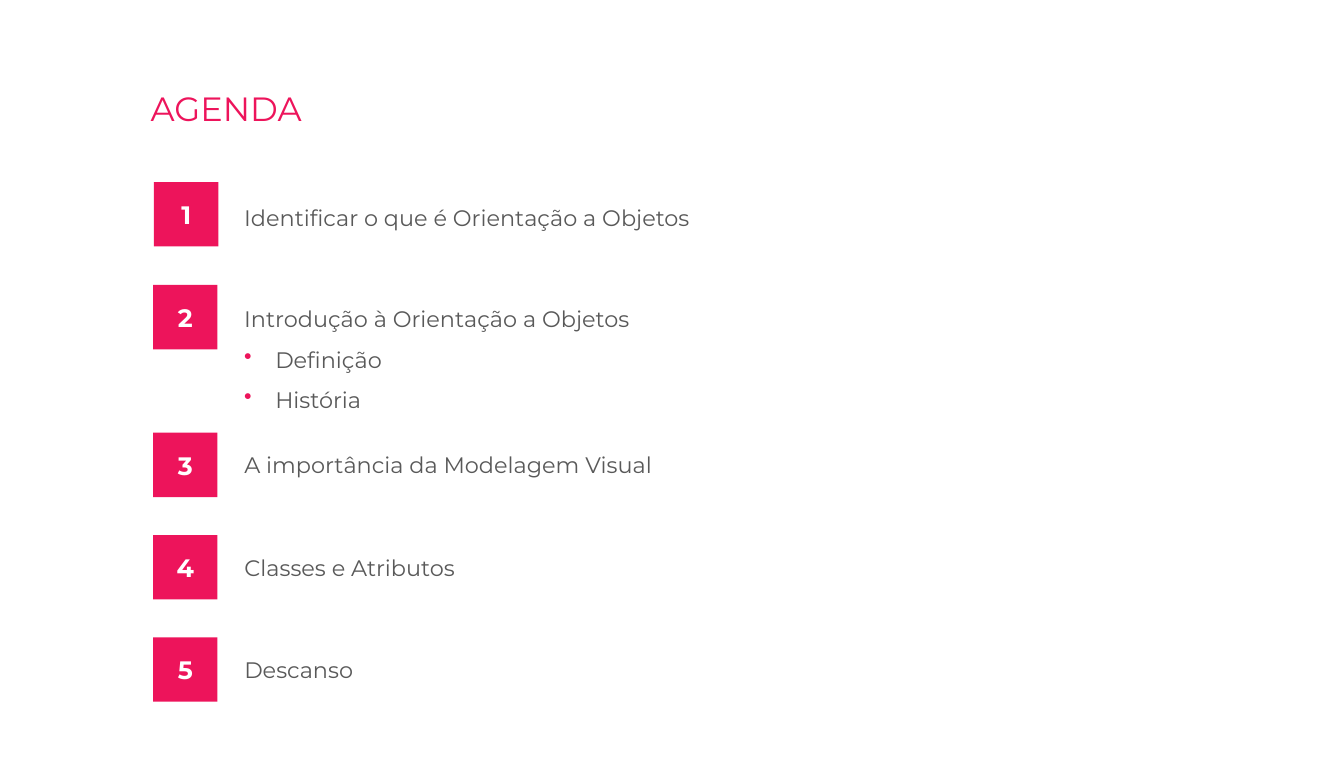
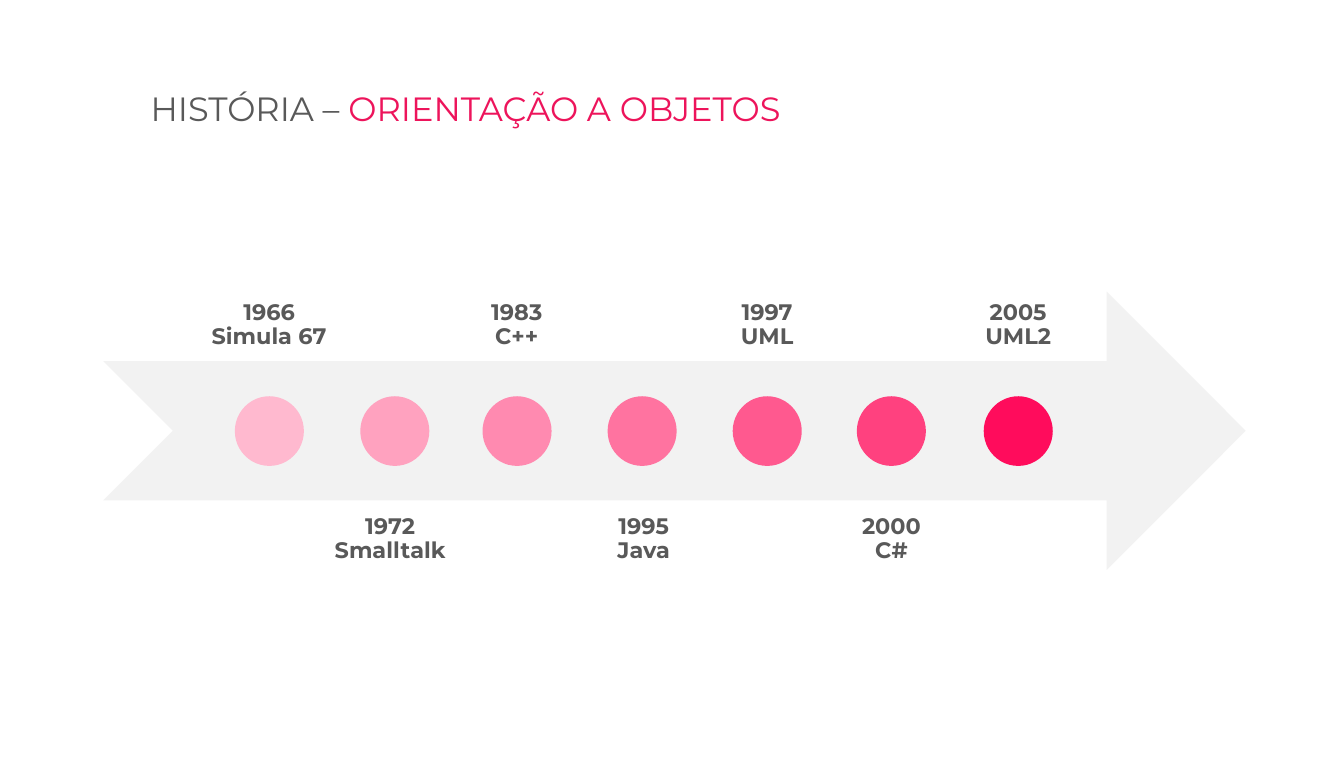
"""Build the agenda and the object orientation history slides."""
from lxml import etree
from pptx import Presentation
from pptx.dml.color import RGBColor
from pptx.enum import shapes, text
from pptx.oxml import ns
from pptx.util import Pt

COLORS = {"accent": "ED145B", "text": "595959", "white": "FFFFFF", "arrow": "F2F2F2"}
FONT = "Montserrat"


def style_font(font, size, color, bold=False):
    font.name = FONT
    font.size = Pt(size)
    font.bold = bold
    font.color.rgb = RGBColor.from_string(COLORS[color])


def add_filled(slide, kind, box, color):
    shape = slide.shapes.add_shape(kind, *map(Pt, box))
    shape.shadow.inherit = False
    shape.fill.solid()
    shape.fill.fore_color.rgb = RGBColor.from_string(color)
    shape.line.fill.background()
    return shape


presentation = Presentation()
presentation.slide_width = Pt(720)
presentation.slide_height = Pt(405.36)

titles = [
    (301, [("AGENDA", "accent")]),
    (537, [("HISTÓRIA – ", "text"), ("ORIENTAÇÃO A OBJETOS", "accent")]),
]
slides = []
for title_width, title_parts in titles:
    slide = presentation.slides.add_slide(presentation.slide_layouts[6])
    slide.background.fill.solid()
    slide.background.fill.fore_color.rgb = RGBColor.from_string(COLORS["white"])
    title = slide.shapes.add_textbox(Pt(73.6), Pt(43.6), Pt(title_width), Pt(29))
    title.text_frame.word_wrap = True
    title.text_frame.auto_size = text.MSO_AUTO_SIZE.SHAPE_TO_FIT_TEXT
    for words, color in title_parts:
        run = title.text_frame.paragraphs[0].add_run()
        run.text = words
        style_font(run.font, 18, color)
    slides.append(slide)
agenda, history = slides

NUMBER_SIZE = 34.5
agenda_items = [
    (82.5, 97.5, (96.9, 366, 31.7), 1.5, ["Identificar o que é Orientação a Objetos"]),
    (82, 152.6, (153.7, 360, 70), 1.5, ["Introdução à Orientação a Objetos", "Definição", "História"]),
    (82, 231.7, (238.2, 461, 21.6), None, ["A importância da Modelagem Visual"]),
    (82, 286.5, (293.4, 436, 21.6), None, ["Classes e Atributos"]),
    (82, 341.3, (347.9, 436, 21.6), None, ["Descanso"]),
]
for number, (left, top, topic_box, spacing, lines) in enumerate(agenda_items, 1):
    topic_top, topic_width, topic_height = topic_box
    topic = agenda.shapes.add_textbox(Pt(123.8), Pt(topic_top), Pt(topic_width), Pt(topic_height))
    frame = topic.text_frame
    frame.word_wrap = True
    frame.vertical_anchor = text.MSO_ANCHOR.MIDDLE
    if number > 1:
        frame.auto_size = text.MSO_AUTO_SIZE.SHAPE_TO_FIT_TEXT
    for index, line in enumerate(lines):
        paragraph = frame.add_paragraph() if index else frame.paragraphs[0]
        paragraph.text = line
        style_font(paragraph.font, 12, "text")
        if spacing:
            paragraph.line_spacing = spacing
        if number == 1:
            paragraph.space_before = Pt(7.5)
        if index:
            properties = paragraph._p.get_or_add_pPr()
            properties.set("marL", str(Pt(16.6)))
            properties.set("indent", str(-Pt(16.6)))
            bullet_color = etree.SubElement(properties, ns.qn("a:buClr"))
            etree.SubElement(bullet_color, ns.qn("a:srgbClr"), val=COLORS["accent"])
            etree.SubElement(properties, ns.qn("a:buChar"), char="•")

    square = add_filled(agenda, shapes.MSO_SHAPE.RECTANGLE,
                        (left, top, NUMBER_SIZE, NUMBER_SIZE), COLORS["accent"])
    square.text_frame.vertical_anchor = text.MSO_ANCHOR.MIDDLE
    paragraph = square.text_frame.paragraphs[0]
    paragraph.text = str(number)
    paragraph.alignment = text.PP_ALIGN.CENTER
    style_font(paragraph.font, 13.5, "white", bold=True)

add_filled(history, shapes.MSO_SHAPE.NOTCHED_RIGHT_ARROW, (55.4, 156.2, 612, 149), COLORS["arrow"])

milestones = [
    ("1966", "Simula 67", 125.8, 97, 94.3, "FFB9CF"),
    ("1972", "Smalltalk", 193, 167, 84.2, "FFA2BF"),
    ("1983", "C++", 258.5, 240.5, 72.7, "FF8AB0"),
    ("1995", "Java", 325.5, 316.1, 57.6, "FF73A0"),
    ("1997", "UML", 392.5, 387.2, 47.5, "FF598F"),
    ("2000", "C#", 459, 441.2, 72.7, "FF417F"),
    ("2005", "UML2", 527, 509.1, 72.7, "FF0C5C"),
]
for index, (year, name, dot_left, label_left, label_width, color) in enumerate(milestones):
    above = index % 2 == 0
    label_top = 149 if above else 267.3
    label = history.shapes.add_textbox(Pt(label_left), Pt(label_top), Pt(label_width), Pt(46.8))
    frame = label.text_frame
    frame.word_wrap = True
    frame.margin_left = frame.margin_right = frame.margin_top = frame.margin_bottom = Pt(8.6)
    frame.vertical_anchor = text.MSO_ANCHOR.BOTTOM if above else text.MSO_ANCHOR.TOP
    paragraph = frame.paragraphs[0]
    paragraph.text = f"{year}\v{name}"
    paragraph.alignment = text.PP_ALIGN.CENTER
    paragraph.line_spacing = 0.9
    style_font(paragraph.font, 12, "text", bold=True)
    add_filled(history, shapes.MSO_SHAPE.OVAL, (dot_left, 212.2, 37, 37.3), color)

presentation.save("out.pptx")
